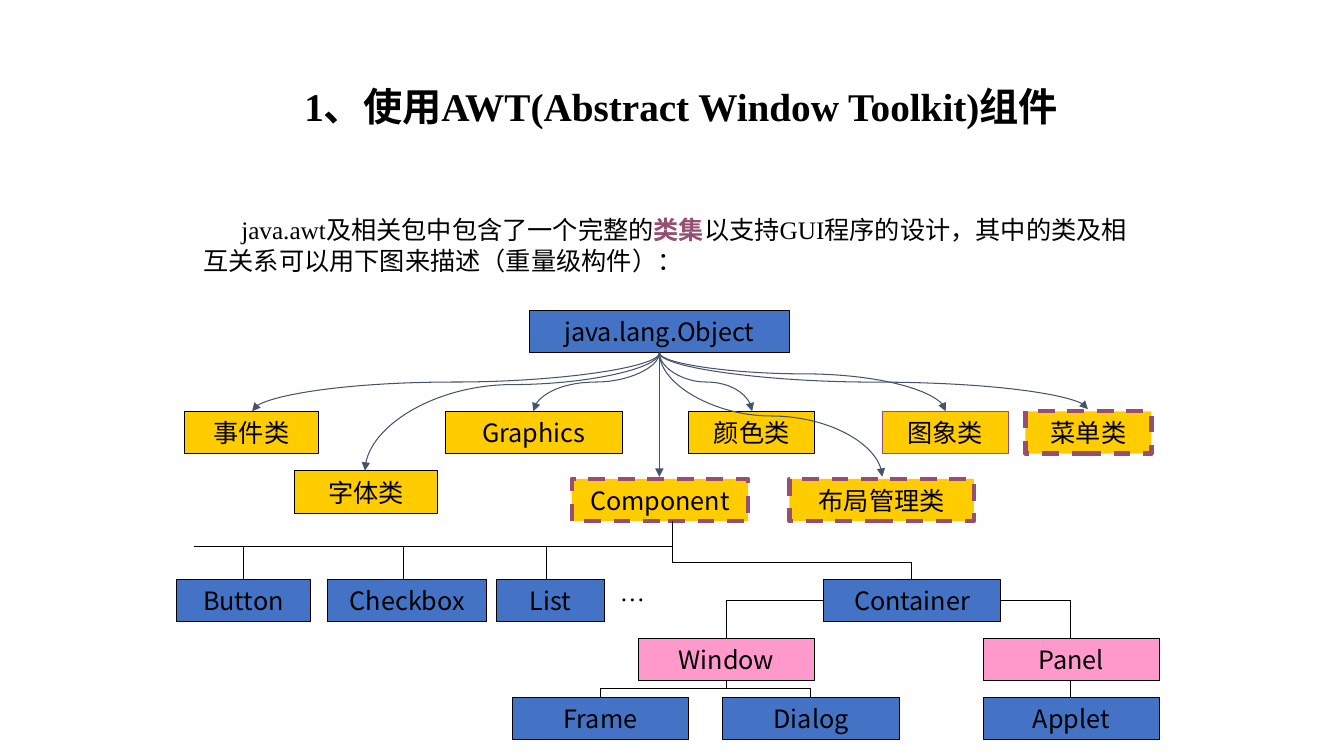
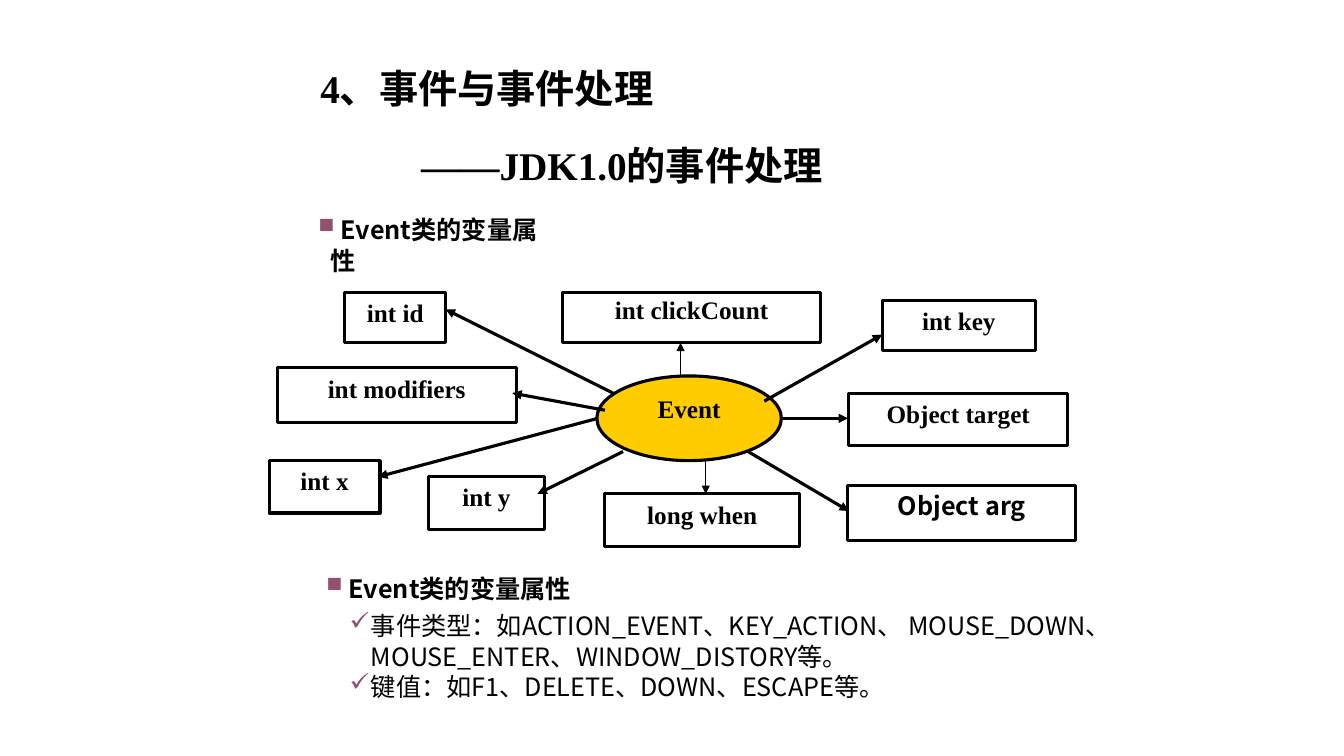
from lxml import etree
from pptx import Presentation
from pptx import util as u
from pptx.dml import color as dml
from pptx.enum import dml as dash, shapes, text
from pptx.oxml import ns

COLOURS = {
    "ink": "000000", "paper": "FFFFFF", "plum": "954F72", "gold": "FFCC00",
    "blue": "4472C4", "pink": "FF99CC", "slate": "44546A",
}
SERIF = "Times New Roman"
SANS = "Noto Sans CJK SC"
TITLE = dict(size=28, bold=True, spacing=1.2)
HEADING = dict(font=SANS, bold=True, bullet="▪", bullet_size=150, margin=0.18, indent=-0.18)
DETAIL = dict(font=SANS, bullet="✓", margin=0.5, indent=-0.21)


def write(box, words, font=SERIF, size=18, bold=False, colour="ink", align=None,
          spacing=None, before=None, margin=0, indent=0, bullet=None,
          bullet_size=100, same_line=False):
    frame = box.text_frame
    para = frame.paragraphs[-1]
    if para.runs and not same_line:
        para = frame.add_paragraph()
    if not same_line:
        props = para._p.get_or_add_pPr()
        props.set("marL", str(u.Inches(margin)))
        props.set("indent", str(u.Inches(indent)))
        if bullet:
            tint = etree.SubElement(props, ns.qn("a:buClr"))
            etree.SubElement(tint, ns.qn("a:srgbClr"), val=COLOURS["plum"])
            etree.SubElement(props, ns.qn("a:buSzPct"), val=str(bullet_size * 1000))
            etree.SubElement(props, ns.qn("a:buChar"), char=bullet)
        if align:
            para.alignment = align
        if spacing:
            para.line_spacing = spacing
        if before:
            para.space_before = u.Pt(before)
    span = para.add_run()
    span.text = words
    span.font.name = font
    span.font.size = u.Pt(size)
    span.font.bold = bold
    span.font.color.rgb = dml.RGBColor.from_string(COLOURS[colour])


def link(page, start, end, kind="line", adjust=0.5, colour="ink", width=0.75, arrow=False):
    (x1, y1), (x2, y2) = start, end
    line = page.shapes.add_connector(
        shapes.MSO_CONNECTOR.STRAIGHT, *(u.Inches(v) for v in (x1, y1, x2, y2)))
    line.line.color.rgb = dml.RGBColor.from_string(COLOURS[colour])
    line.line.width = u.Pt(width)
    props = line.element.spPr
    etree.SubElement(props, ns.qn("a:effectLst"))
    if arrow:
        etree.SubElement(line.line._get_or_add_ln(), ns.qn("a:tailEnd"), type="triangle")
    geometry = props.find(ns.qn("a:prstGeom"))
    geometry.set("prst", kind)
    if kind.endswith("3"):
        run, drop = abs(x2 - x1), y2 - y1
        line.left = u.Inches((x1 + x2 - drop) / 2)
        line.top = u.Inches((y1 + y2 - run) / 2)
        line.width, line.height = u.Inches(drop), u.Inches(run)
        frame = props.find(ns.qn("a:xfrm"))
        frame.set("rot", str((90 if x2 < x1 else 270) * 60000))
        frame.set("flipH", "0" if x2 < x1 else "1")
        guides = geometry.find(ns.qn("a:avLst"))
        etree.SubElement(guides, ns.qn("a:gd"), name="adj1", fmla=f"val {round(adjust * 100000)}")


deck = Presentation()
deck.slide_width, deck.slide_height = u.Inches(13.33), u.Inches(7.5)
awt_page, event_page = (deck.slides.add_slide(deck.slide_layouts[6]) for _ in range(2))

text_boxes = []
for page, place in [
    (awt_page, (2.92, 0.67, 7.76, 0.63)),
    (awt_page, (1.92, 2.08, 9.58, 0.71)),
    (awt_page, (6.05, 5.67, 0.45, 0.4)),
    (event_page, (3.08, 0.5, 6.33, 1.46)),
    (event_page, (3, 2.08, 2.66, 0.4)),
    (event_page, (3.08, 5.64, 8.08, 1.4)),
]:
    box = page.shapes.add_textbox(*(u.Inches(v) for v in place))
    box.text_frame.word_wrap = True
    text_boxes.append(box)
awt_title, awt_intro, more, event_title, event_heading, event_notes = text_boxes

write(awt_title, "1、使用AWT(Abstract Window Toolkit)组件", **TITLE)
write(awt_intro, "java.awt及相关包中包含了一个完整的", indent=0.375)
write(awt_intro, "类集", bold=True, colour="plum", same_line=True)
write(awt_intro, "以支持GUI程序的设计，其中的类及相互关系可以用下图来描述（重量级构件）：", same_line=True)
write(more, "…")
write(event_title, "4、事件与事件处理", **TITLE)
write(event_title, "——JDK1.0的事件处理", before=14, margin=1, **TITLE)
write(event_heading, "Event类的变量属性", **HEADING)
write(event_notes, "Event类的变量属性", **HEADING)
write(event_notes, "事件类型：如ACTION_EVENT、KEY_ACTION、 MOUSE_DOWN、MOUSE_ENTER、WINDOW_DISTORY等。",
      before=5, **DETAIL)
write(event_notes, "键值：如F1、DELETE、DOWN、ESCAPE等。", **DETAIL)

thin, plum_thin, plum_dash = ("ink", 0.75, False), ("plum", 0.75, False), ("plum", 3, True)
class_boxes = [
    ("java.lang.Object", 5.25, 3.08, 2.58, "blue", thin),
    ("事件类", 1.83, 4.08, 1.33, "gold", thin),
    ("字体类", 2.92, 4.67, 1.42, "gold", thin),
    ("Graphics", 4.42, 4.08, 1.75, "gold", thin),
    ("Component", 5.67, 4.75, 1.75, "gold", plum_dash),
    ("颜色类", 6.83, 4.08, 1.25, "gold", thin),
    ("布局管理类", 7.83, 4.75, 1.83, "gold", plum_dash),
    ("图象类", 8.75, 4.08, 1.25, "gold", plum_thin),
    ("菜单类", 10.17, 4.08, 1.25, "gold", plum_dash),
    ("Button", 1.75, 5.75, 1.33, "blue", thin),
    ("Checkbox", 3.25, 5.75, 1.58, "blue", thin),
    ("List", 4.92, 5.75, 1.08, "blue", thin),
    ("Container", 8.17, 5.75, 1.75, "blue", thin),
    ("Window", 6.33, 6.33, 1.75, "pink", thin),
    ("Panel", 9.75, 6.33, 1.75, "pink", thin),
    ("Frame", 5.08, 6.92, 1.75, "blue", thin),
    ("Dialog", 7.17, 6.92, 1.75, "blue", thin),
    ("Applet", 9.75, 6.92, 1.75, "blue", thin),
]
event_boxes = [
    ("Event", 5.92, 3.73, 1.83, 0.84),
    ("Object arg", 8.41, 4.82, 2.26, 0.54),
    ("int clickCount", 5.58, 2.9, 2.56, 0.5),
    ("int id", 3.42, 2.9, 1, 0.5),
    ("int key", 8.75, 2.98, 1.52, 0.5),
    ("int modifiers", 2.75, 3.65, 2.37, 0.54),
    ("Object target", 8.42, 3.9, 2.17, 0.52),
    ("int x", 2.67, 4.57, 1.1, 0.52),
    ("int y", 4.25, 4.73, 1.15, 0.52),
    ("long when", 6, 4.9, 1.93, 0.52),
]
boxes = [(awt_page, name, (x, y, w, 0.42), fill, edge, dict(font=SANS))
         for name, x, y, w, fill, edge in class_boxes]
for name, *place in event_boxes:
    style = dict(bold=True, font=SANS if name == "Object arg" else SERIF,
                 spacing=0.9 if name == "int clickCount" else None)
    fill = "gold" if name == "Event" else "paper"
    boxes.append((event_page, name, place, fill, ("ink", 2.25, False), style))

for page, name, place, fill, (edge, width, dashed), style in boxes:
    outline = shapes.MSO_SHAPE.OVAL if name == "Event" else shapes.MSO_SHAPE.RECTANGLE
    box = page.shapes.add_shape(outline, *(u.Inches(v) for v in place))
    box.shadow.inherit = False
    box.fill.solid()
    box.fill.fore_color.rgb = dml.RGBColor.from_string(COLOURS[fill])
    box.line.color.rgb = dml.RGBColor.from_string(COLOURS[edge])
    box.line.width = u.Pt(width)
    if dashed:
        box.line.dash_style = dash.MSO_LINE.DASH
    on_awt = page is awt_page
    box.text_frame.word_wrap = not on_awt
    box.text_frame.vertical_anchor = text.MSO_ANCHOR.MIDDLE if on_awt else text.MSO_ANCHOR.TOP
    write(box, name, align=text.PP_ALIGN.CENTER, **style)

root = (6.54, 3.5)
for x, y, bend in [
    (2.5, 4.08, 0.5), (3.62, 4.67, 0.27), (5.29, 4.08, 0.5), (7.46, 4.08, 0.5),
    (9.38, 4.08, 0.36), (8.75, 4.73, 0.51), (10.79, 4.06, 0.52),
]:
    link(awt_page, root, (x, y), "curvedConnector3", bend, "slate", arrow=True)
link(awt_page, root, (6.54, 4.73), colour="slate", arrow=True)

for start, end in [
    ((6.67, 5.17), (6.67, 5.58)), ((1.92, 5.42), (6.67, 5.42)), ((10.62, 6.75), (10.62, 6.92)),
    *(((x, 5.42), (x, 5.75)) for x in (2.42, 4, 5.42)),
]:
    link(awt_page, start, end)
for start, end, kind in [
    ((6.67, 5.42), (9.04, 5.75), "bentConnector3"),
    ((7.21, 6.75), (8.04, 6.92), "bentConnector3"),
    ((7.21, 6.75), (5.96, 6.92), "bentConnector3"),
    ((8.17, 5.96), (7.21, 6.33), "bentConnector2"),
    ((9.92, 5.96), (10.62, 6.33), "bentConnector2"),
]:
    link(awt_page, start, end, kind)

for start, end, width in [
    ((6.08, 3.9), (4.42, 3.07), 2.25),
    ((7.58, 3.98), (8.75, 3.32), 2.25),
    ((7.75, 4.15), (8.41, 4.15), 2.25),
    ((7.42, 4.48), (8.42, 5.07), 2.25),
    ((6.18, 4.48), (5.33, 4.9), 2.25),
    ((5.93, 4.15), (3.75, 4.73), 2.25),
    ((6, 4.07), (5.08, 3.9), 2.25),
    ((6.75, 3.73), (6.75, 3.4), 0.75),
    ((7, 4.57), (7, 4.9), 0.75),
]:
    link(event_page, start, end, width=width, arrow=True)

deck.save("out.pptx")
